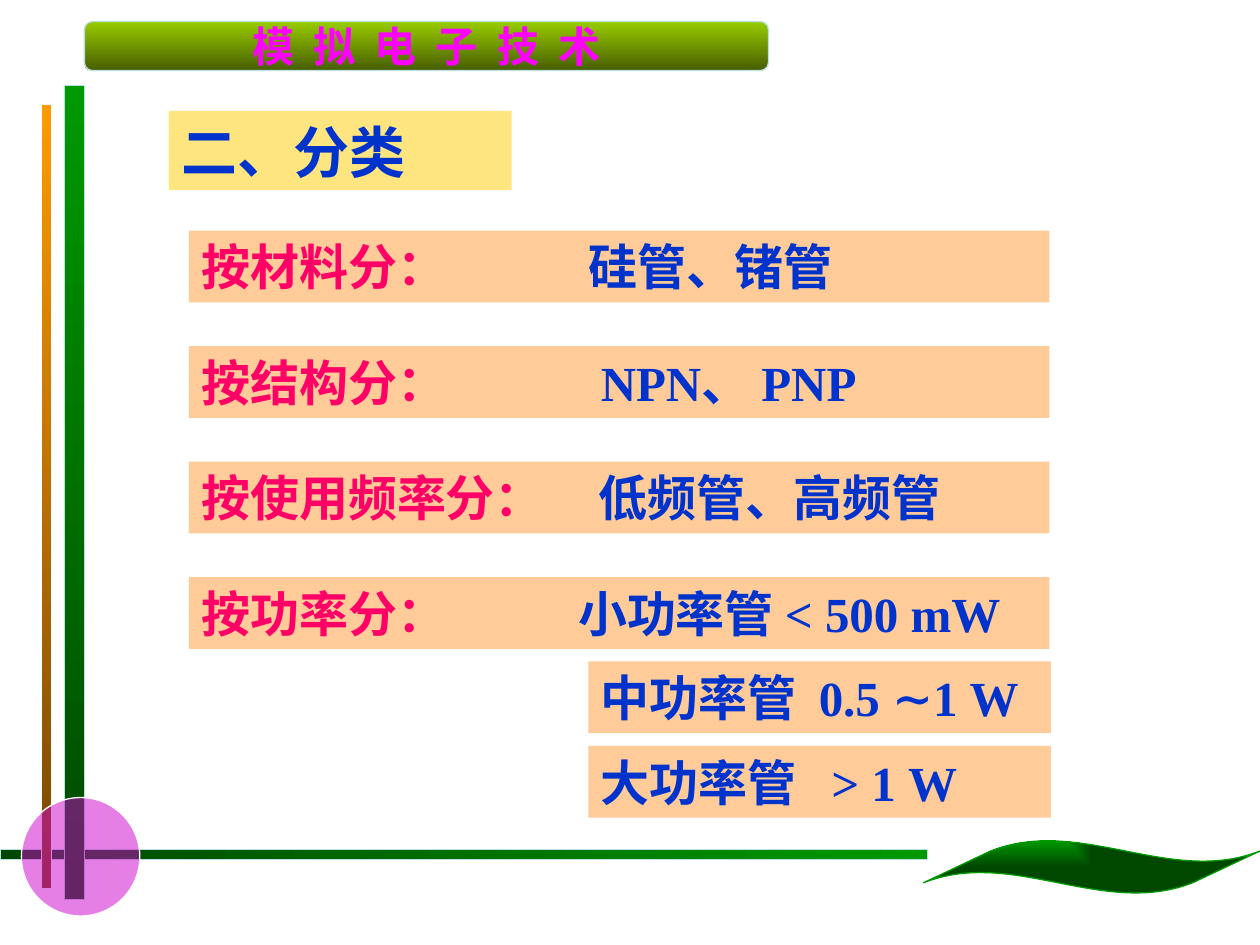
from lxml import etree
from pptx import Presentation
from pptx.dml.color import RGBColor
from pptx.enum.shapes import MSO_SHAPE
from pptx.enum.text import MSO_ANCHOR, MSO_AUTO_SIZE, PP_ALIGN
from pptx.oxml.ns import qn
from pptx.util import Inches, Pt

RECTANGLE, OVAL, WAVE = MSO_SHAPE.RECTANGLE, MSO_SHAPE.OVAL, MSO_SHAPE.WAVE
BANNER = MSO_SHAPE.FLOWCHART_ALTERNATE_PROCESS
MIDDLE, TOP = MSO_ANCHOR.MIDDLE, MSO_ANCHOR.TOP
CENTER, LEFT = PP_ALIGN.CENTER, PP_ALIGN.LEFT
NO_AUTOFIT = MSO_AUTO_SIZE.NONE

COLORS = {
    "green": "009900", "dark green": "004700", "orange": "FF9900",
    "brown": "764700", "lime": "99CC00", "olive": "475E00",
    "purple": "CC00CC", "magenta": "FF00FF", "pale blue": "BBE0E3",
    "white": "FFFFFF", "gold": "FFCC00", "peach": "FFCC99",
    "blue": "0033CC", "red": "FF0066",
}
LATIN, CHINESE = "Times New Roman", "Noto Sans CJK SC"
DOWN = 270

BARS = [
    ((0, 6.74, 7.36, 0.08), ("dark green", "green"), 0, "pale blue", 0.75),
    ((0.51, 0.68, 0.16, 6.46), ("green", "dark green"), DOWN, "pale blue", 0.75),
    ((0.33, 0.83, 0.08, 6.22), ("orange", "brown"), DOWN, "white", 0.5),
]
COURSE = "模 拟 电 子 技 术"
TITLE = "二、分类"
CATEGORIES = [
    ("按材料分：", "硅管、锗管", 3.07),
    ("按结构分：", "NPN、 PNP", 3.17),
    ("按使用频率分：", "低频管、高频管", 3.15),
    ("按功率分：", "小功率管 < 500 mW", 2.99),
]
POWER_CLASSES = [
    ("中功率管", "0.5 ∼1 W", 1.73),
    ("大功率管", "> 1 W", 1.83),
]
ROW_HEIGHT = 0.57
CATEGORY_TOP, CATEGORY_STEP = 1.83, 0.917
POWER_TOP, POWER_STEP = 5.25, 0.67


def color(name):
    return RGBColor.from_string(COLORS[name])


def place(shape, box):
    shape.left, shape.top, shape.width, shape.height = map(Inches, box)


def add_plain_shape(slide, kind, box):
    shape = slide.shapes.add_shape(kind, *map(Inches, box))
    shape.shadow.inherit = False
    shape.line.fill.background()
    return shape


def set_line(shape, name, width):
    shape.line.color.rgb = color(name)
    shape.line.width = Pt(width)


def fill_solid(shape, name, opacity=100):
    shape.fill.solid()
    shape.fill.fore_color.rgb = color(name)
    if opacity < 100:
        solid = shape.fill._xPr.find(qn("a:solidFill"))
        etree.SubElement(solid[0], qn("a:alpha"), val=str(opacity * 1000))


def fill_gradient(shape, names, angle):
    shape.fill.gradient()
    shape.fill.gradient_angle = angle
    for stop, name, position in zip(shape.fill.gradient_stops, names, (0, 1)):
        stop.color.rgb = color(name)
        stop.position = position


def fill_from_corner(shape, names):
    fill_gradient(shape, names, 0)
    gradient = shape.fill._xPr.find(qn("a:gradFill"))
    linear = gradient.find(qn("a:lin"))
    path = etree.Element(qn("a:path"), {"path": "rect"})
    etree.SubElement(path, qn("a:fillToRect"), r="100000", b="100000")
    gradient.replace(linear, path)


def format_run(run, size, name, latin=LATIN):
    run.font.size = Pt(size)
    run.font.bold = True
    run.font.name = latin
    run.font.color.rgb = color(name)
    latin_element = run._r.rPr.find(qn("a:latin"))
    east_asian = etree.Element(qn("a:ea"), typeface=CHINESE)
    latin_element.addnext(east_asian)


def format_frame(shape, anchor, alignment):
    frame = shape.text_frame
    frame.auto_size = NO_AUTOFIT
    frame.word_wrap = True
    frame.vertical_anchor = anchor
    frame.margin_left = frame.margin_right = Inches(0.1)
    frame.margin_top = frame.margin_bottom = Inches(0.05)
    frame.paragraphs[0].alignment = alignment
    return frame.paragraphs[0]


def add_row(slide, left, top, width, row, label_color):
    label, value, tab = row
    shape = add_plain_shape(slide, RECTANGLE, (left, top, width, ROW_HEIGHT))
    fill_solid(shape, "peach")
    paragraph = format_frame(shape, TOP, LEFT)
    tabs = etree.SubElement(paragraph._p.get_or_add_pPr(), qn("a:tabLst"))
    etree.SubElement(tabs, qn("a:tab"), pos=str(Inches(tab)), algn="l")
    for text, name in ((label + "\t", label_color), (value, "blue")):
        run = paragraph.add_run()
        run.text = text
        format_run(run, 28, name)


def add_decoration(slide):
    for box, names, angle, line, width in BARS:
        bar = add_plain_shape(slide, RECTANGLE, box)
        fill_gradient(bar, names, angle)
        set_line(bar, line, width)

    circle = add_plain_shape(slide, OVAL, (0.17, 6.33, 0.94, 0.94))
    fill_solid(circle, "purple", 50)
    set_line(circle, "white", 0.75)

    banner = add_plain_shape(slide, BANNER, (0.67, 0.17, 5.43, 0.39))
    fill_gradient(banner, ("lime", "olive"), DOWN)
    set_line(banner, "pale blue", 0.75)
    banner.text_frame.text = COURSE
    paragraph = format_frame(banner, MIDDLE, CENTER)
    banner.text_frame.word_wrap = False
    run = paragraph.runs[0]
    format_run(run, 24, "magenta", CHINESE)
    run._r.rPr.set("spc", "280")

    leaf = add_plain_shape(slide, WAVE, (7.33, 6.67, 2.67, 0.42))
    leaf.adjustments[0], leaf.adjustments[1] = 0.206, -0.1
    fill_from_corner(leaf, ("green", "dark green"))
    set_line(leaf, "green", 0.75)


def add_title(slide):
    title = slide.shapes.title
    place(title, (1.34, 0.88, 2.72, 0.63))
    title.text_frame.text = TITLE
    fill_solid(title, "gold", 50)
    paragraph = format_frame(title, TOP, LEFT)
    format_run(paragraph.runs[0], 32, "blue")


def main():
    presentation = Presentation()
    presentation.slide_width, presentation.slide_height = Inches(10), Inches(7.5)
    slide = presentation.slides.add_slide(presentation.slide_layouts[5])
    add_decoration(slide)
    add_title(slide)
    for index, row in enumerate(CATEGORIES):
        add_row(slide, 1.5, CATEGORY_TOP + index * CATEGORY_STEP, 6.83, row, "red")
    for index, row in enumerate(POWER_CLASSES):
        add_row(slide, 4.67, POWER_TOP + index * POWER_STEP, 3.67, row, "blue")
    presentation.save("out.pptx")


if __name__ == "__main__":
    main()
